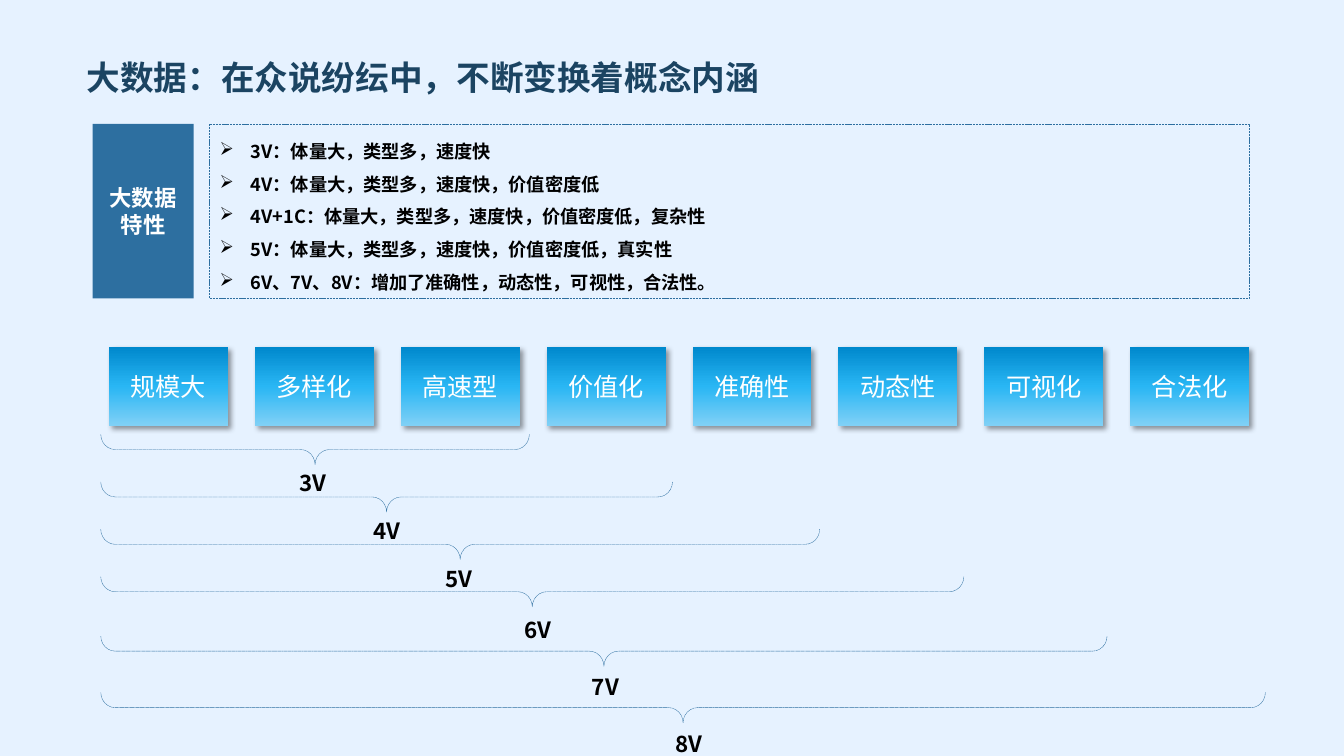
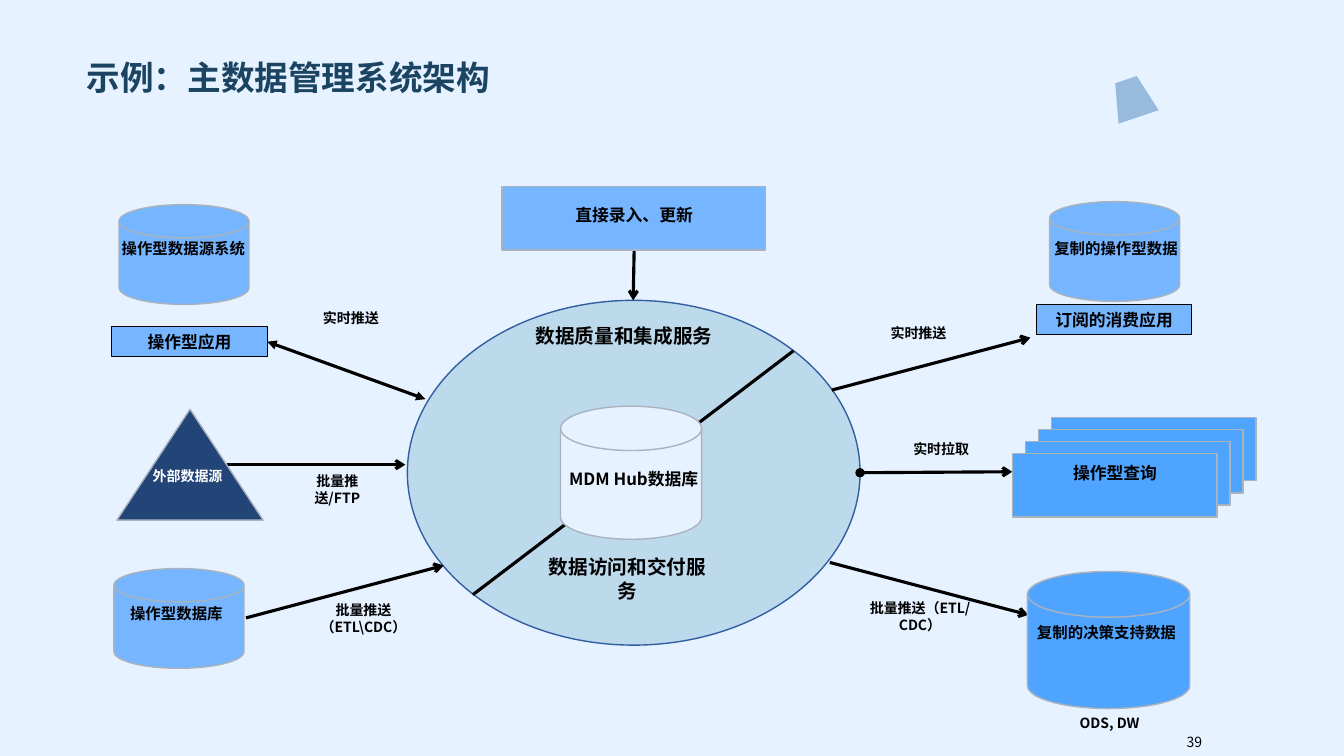
from lxml import etree
from pptx import Presentation
from pptx.dml.color import RGBColor
from pptx.enum import dml, shapes, text
from pptx.oxml import ns
from pptx.util import Inches, Pt

COLORS = {
    "background": "E6F2FF", "title": "1B4462", "band": "2D6FA0",
    "black": "000000", "white": "FFFFFF", "edge": "AAB3BD",
    "source": "76B5FF", "query": "4FA4FF", "hub": "BDD9EC",
    "hub_edge": "325FA2", "external": "224476", "accent": "4B83BB",
    "card_low": "82D1F6", "card_mid": "29B6F4", "card_high": "0089CD",
}
FONT = "Noto Sans CJK SC"
SHAPE = shapes.MSO_SHAPE
ALIGN = text.PP_ALIGN
ANCHOR = text.MSO_ANCHOR

FEATURES = [
    "3V：体量大，类型多，速度快",
    "4V：体量大，类型多，速度快，价值密度低",
    "4V+1C：体量大，类型多，速度快，价值密度低，复杂性",
    "5V：体量大，类型多，速度快，价值密度低，真实性",
    "6V、7V、8V：增加了准确性，动态性，可视性，合法性。",
]
CARDS = ["规模大", "多样化", "高速型", "价值化", "准确性", "动态性", "可视化", "合法化"]
# label, brace span, brace centre y, label left, label top
BRACES = [
    ("3V", 4.25, 4.46, 2.7, 4.65),
    ("4V", 5.67, 4.93, 3.43, 5.12),
    ("5V", 7.13, 5.4, 4.15, 5.6),
    ("6V", 8.56, 5.87, 4.93, 6.11),
    ("7V", 9.98, 6.46, 5.6, 6.67),
    ("8V", 11.55, 7.02, 6.43, 7.24),
]

DISK = SHAPE.FLOWCHART_MAGNETIC_DISK
# preset, box, fill
NODES = [
    (DISK, (5.56, 4.03, 1.4, 1.32), "background"),
    (SHAPE.ISOSCELES_TRIANGLE, (1.16, 4.06, 1.45, 1.1), "external"),
    (SHAPE.RECTANGLE, (4.98, 1.85, 2.61, 0.63), "source"),
    (DISK, (1.18, 2.03, 1.29, 0.99), "source"),
    (DISK, (1.13, 5.64, 1.29, 0.99), "source"),
    (DISK, (10.41, 2, 1.29, 0.99), "source"),
    (DISK, (10.19, 5.67, 1.61, 1.36), "query"),
]
QUERY_STACK = [
    (SHAPE.RECTANGLE, (10.43 - 0.13 * i, 4.14 + 0.12 * i, 2.03, 0.63), "query")
    for i in range(4)
]
APPLICATIONS = [
    ("订阅的消费应用", (10.28, 3.02, 1.54, 0.3)),
    ("操作型应用", (1.11, 3.24, 1.54, 0.3)),
]
# start, end, head, tail
LINKS = [
    ((7.87, 3.48), (4.69, 5.9), None, None),
    ((2.25, 4.61), (4.02, 4.61), None, "arrow"),
    ((6.29, 2.47), (6.28, 2.98), None, "arrow"),
    ((2.65, 3.39), (4.22, 3.96), "triangle", "triangle"),
    ((2.44, 6.13), (4.4, 5.61), None, "arrow"),
    ((8.25, 3.87), (10.22, 3.35), None, "arrow"),
    ((10.04, 4.68), (8.53, 4.69), "arrow", "oval"),
    ((8.23, 5.58), (10.2, 6.1), None, "arrow"),
]
# text, box, size
LABELS = [
    ("数据质量和集成服务", (5.21, 3.16, 1.96, 0.57), 14),
    ("数据访问和交付服务", (5.26, 5.46, 1.93, 0.57), 14),
    ("MDM Hub数据库", (5.52, 4.6, 1.53, 0.5), 12),
    ("直接录入、更新", (5.21, 1.98, 2.16, 0.3), 12),
    ("操作型查询", (10.23, 4.54, 1.66, 0.3), 12),
    ("操作型数据源系统", (1.05, 2.32, 1.54, 0.28), 11),
    ("操作型数据库", (0.98, 5.94, 1.54, 0.28), 11),
    ("复制的操作型数据", (10.3, 2.32, 1.54, 0.28), 11),
    ("复制的决策支持数据", (10.15, 6.13, 1.65, 0.47), 11),
    ("实时推送", (3.08, 3.02, 0.8, 0.43), 10),
    ("批量推送\n（ETL\\CDC）", (2.98, 5.92, 1.25, 0.43), 10),
    ("批量推送/FTP", (2.94, 4.64, 0.81, 0.43), 10),
    ("实时推送", (8.71, 3.17, 0.8, 0.43), 10),
    ("实时拉取", (8.93, 4.32, 0.81, 0.43), 10),
    ("批量推送（ETL/CDC）", (8.46, 5.9, 1.33, 0.43), 10),
    ("ODS, DW", (10.42, 7.04, 1.17, 0.27), 10),
]


def rgb(name):
    return RGBColor.from_string(COLORS[name])


def add_xml(parent, tag, **attributes):
    return etree.SubElement(parent, ns.qn(tag), attributes)


def write(shape, content, size=12, color="black", bold=True, font=FONT,
          align=ALIGN.CENTER, anchor=ANCHOR.TOP, spacing=None, bullet=None):
    """Fill a shape with one paragraph per line of content."""
    frame = shape.text_frame
    frame.word_wrap = True
    frame.vertical_anchor = anchor
    for i, line in enumerate(content.split("\n")):
        paragraph = frame.add_paragraph() if i else frame.paragraphs[0]
        paragraph.alignment = align
        if spacing:
            paragraph.line_spacing = spacing
        if bullet:
            properties = paragraph._p.get_or_add_pPr()
            properties.set("marL", str(Inches(0.31)))
            properties.set("indent", str(-Inches(0.31)))
            add_xml(properties, "a:buChar", char=bullet)
        run = paragraph.add_run()
        run.text = line
        run.font.size = Pt(size)
        run.font.bold = bold
        run.font.color.rgb = rgb(color)
        run.font.name = font
        add_xml(run._r.get_or_add_rPr(), "a:ea", typeface=FONT)


def add_shape(slide, preset, box, fill=None, line=None, width=1, dashed=False):
    shape = slide.shapes.add_shape(preset, *map(Inches, box))
    shape.shadow.inherit = False
    if fill:
        shape.fill.solid()
        shape.fill.fore_color.rgb = rgb(fill)
    else:
        shape.fill.background()
    if line:
        shape.line.color.rgb = rgb(line)
        shape.line.width = Pt(width)
        if dashed:
            shape.line.dash_style = dml.MSO_LINE.SQUARE_DOT
    else:
        shape.line.fill.background()
    return shape


def add_label(slide, content, box, **style):
    write(slide.shapes.add_textbox(*map(Inches, box)), content, **style)


def add_link(slide, start, end, head, tail):
    connector = slide.shapes.add_connector(
        shapes.MSO_CONNECTOR.STRAIGHT, *map(Inches, start + end))
    connector.line.color.rgb = rgb("black")
    connector.line.width = Pt(2.25)
    line = connector.line._get_or_add_ln()
    for tag, kind in (("a:headEnd", head), ("a:tailEnd", tail)):
        if kind:
            add_xml(line, tag, type=kind)
    add_xml(connector._element.spPr, "a:effectLst")


def add_card(slide, content, box):
    """Add a gradient card with a soft drop shadow."""
    card = add_shape(slide, SHAPE.RECTANGLE, box)
    card.fill.gradient()
    card.fill.gradient_angle = 90
    properties = card._element.spPr
    stops = properties.find(".//" + ns.qn("a:gsLst"))
    for stop in list(stops):
        stops.remove(stop)
    for position, name in ((0, "card_low"), (50, "card_mid"), (99, "card_high")):
        stop = add_xml(stops, "a:gs", pos=str(position * 1000))
        add_xml(stop, "a:srgbClr", val=COLORS[name])
    shadow = add_xml(properties.find(ns.qn("a:effectLst")), "a:outerShdw",
                     blurRad=str(Pt(4)), dist=str(Pt(3)), dir="2700000",
                     algn="tl", rotWithShape="0")
    shade = add_xml(shadow, "a:srgbClr", val=COLORS["black"])
    add_xml(shade, "a:alpha", val="40000")
    write(card, content, size=18, color="white", bold=False, font="Arial",
          anchor=ANCHOR.MIDDLE)


def prepare_layout(presentation):
    """Set the background and title position that all slides inherit."""
    background = presentation.slide_master.background.fill
    background.solid()
    background.fore_color.rgb = rgb("background")
    layout = presentation.slide_layouts[5]
    title = layout.placeholders[0]
    title.left, title.top = Inches(0.76), Inches(0.39)
    title.width, title.height = Inches(11.81), Inches(0.79)
    return layout


def add_slide(presentation, layout, title):
    slide = presentation.slides.add_slide(layout)
    write(slide.shapes.title, title, size=24, color="title", font="Arial",
          align=ALIGN.LEFT, anchor=ANCHOR.MIDDLE, spacing=0.9)
    return slide


def build_features(slide):
    panel = add_shape(slide, SHAPE.RECTANGLE, (2.08, 1.23, 10.31, 1.73),
                      line="band", width=0.5, dashed=True)
    write(panel, "\n".join(FEATURES), size=13, align=ALIGN.JUSTIFY,
          anchor=ANCHOR.MIDDLE, spacing=1.5, bullet="➢")
    heading = add_shape(slide, SHAPE.RECTANGLE, (0.92, 1.23, 1, 1.73), fill="band")
    write(heading, "大数据特性", size=16, color="white", anchor=ANCHOR.MIDDLE)

    first, last = 1.08, 11.21
    pitch = (last - first) / (len(CARDS) - 1)
    for i, card in enumerate(CARDS):
        add_card(slide, card, (first + i * pitch, 3.44, 1.18, 0.79))

    depth, brace_left = 0.3, 1
    for label, span, middle, left, top in BRACES:
        center = brace_left + span / 2
        brace = add_shape(slide, SHAPE.LEFT_BRACE,
                          (center - depth / 2, middle - span / 2, depth, span),
                          line="band", width=0.25, dashed=True)
        brace.rotation = 270
        brace.adjustments[0], brace.adjustments[1] = 0.48, 0.5
        add_label(slide, label, (left, top, 0.81, 0.28), size=16,
                  anchor=ANCHOR.MIDDLE)


def build_architecture(slide):
    add_shape(slide, SHAPE.OVAL, (4.04, 2.98, 4.49, 3.42), "hub", "hub_edge")
    for link in LINKS:
        add_link(slide, *link)
    for preset, box, fill in NODES + QUERY_STACK:
        add_shape(slide, preset, box, fill, "edge")
    for content, box in APPLICATIONS:
        write(add_shape(slide, SHAPE.RECTANGLE, box, "source", "black", 0.75), content)
    for content, box, size in LABELS:
        add_label(slide, content, box, size=size)
    add_label(slide, "外部数据源", (1.27, 4.59, 1.18, 0.27), size=10, color="white")
    add_label(slide, "39", (11.67, 7.23, 0.7, 0.27), size=10, bold=False,
              align=ALIGN.LEFT, anchor=ANCHOR.MIDDLE)

    ornament = add_shape(slide, SHAPE.TRAPEZOID, (11.02, 0.78, 0.42, 0.39), "accent")
    ornament.rotation = 341.4
    tint = ornament._element.spPr.find(ns.qn("a:solidFill"))[0]
    add_xml(tint, "a:alpha", val="50000")


def main():
    presentation = Presentation()
    presentation.slide_width, presentation.slide_height = Inches(13.33), Inches(7.5)
    layout = prepare_layout(presentation)
    build_features(add_slide(presentation, layout, "大数据：在众说纷纭中，不断变换着概念内涵"))
    build_architecture(add_slide(presentation, layout, "示例：主数据管理系统架构"))
    presentation.save("out.pptx")


if __name__ == "__main__":
    main()
